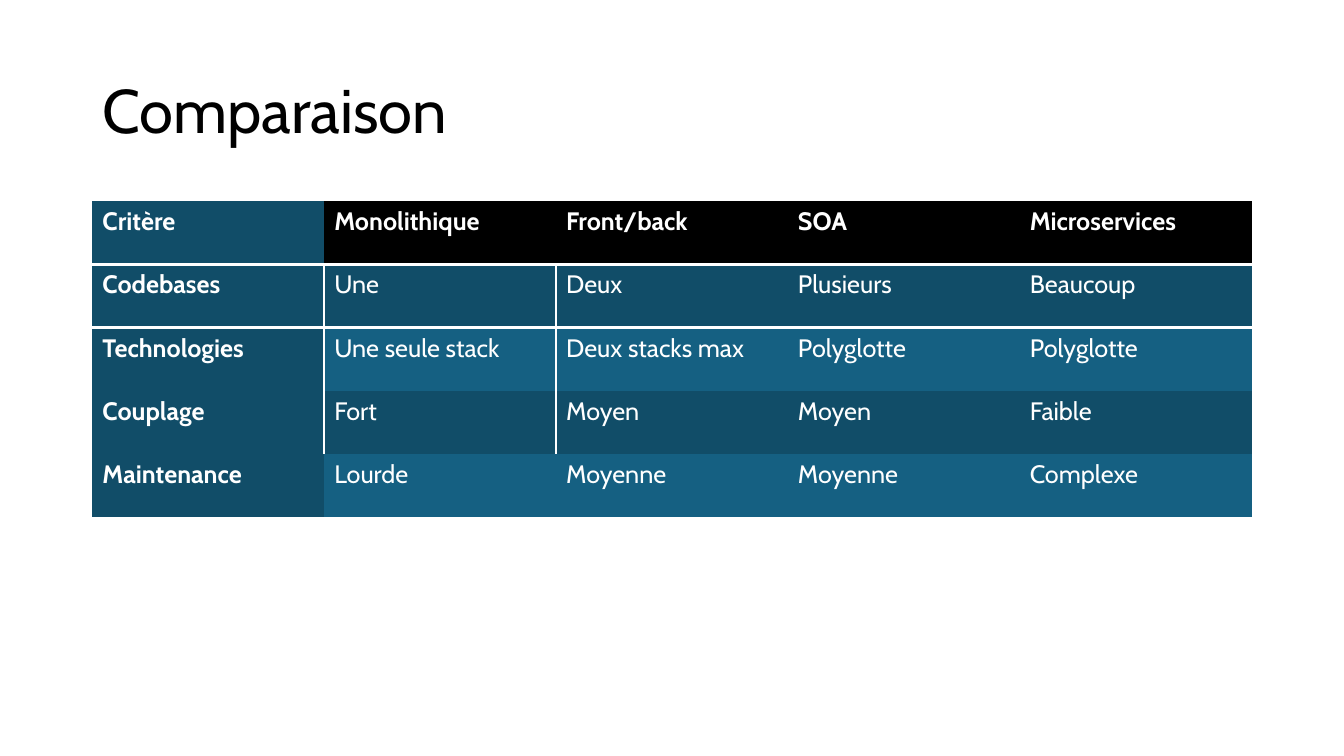
"""Build a slide comparing four software architectures in a table."""
import pptx
import pptx.dml.color
import pptx.enum.text
import pptx.oxml
import pptx.oxml.ns
import pptx.util

Pt = pptx.util.Pt
RGB = pptx.dml.color.RGBColor.from_string
COLORS = {"black": "000000", "white": "FFFFFF", "dark": "114D68", "blue": "156082"}
FONT = "Cabin"
NO_GRID_STYLE = "{2D5ABB26-0587-4C30-8999-92F81FD0307C}"
LEFT, WIDTH = 66, 828
ROW_HEIGHT = 45.1

COMPARISON = [
    ["Critère", "Monolithique", "Front/back", "SOA", "Microservices"],
    ["Codebases", "Une", "Deux", "Plusieurs", "Beaucoup"],
    ["Technologies", "Une seule stack", "Deux stacks max", "Polyglotte", "Polyglotte"],
    ["Couplage", "Fort", "Moyen", "Moyen", "Faible"],
    ["Maintenance", "Lourde", "Moyenne", "Moyenne", "Complexe"],
]


def style_font(paragraph, size, color, bold=False):
    paragraph.font.name = FONT
    paragraph.font.size = Pt(size)
    paragraph.font.bold = bold
    paragraph.font.color.rgb = RGB(COLORS[color])


def add_border(cell, side):
    cell._tc.get_or_add_tcPr().append(pptx.oxml.parse_xml(
        f'<a:ln{side} {pptx.oxml.ns.nsdecls("a")} w="{Pt(2)}"><a:solidFill>'
        f'<a:srgbClr val="{COLORS["white"]}"/></a:solidFill></a:ln{side}>'))


deck = pptx.Presentation()
deck.slide_width, deck.slide_height = Pt(960), Pt(540)
slide = deck.slides.add_slide(deck.slide_layouts[6])

title = slide.shapes.add_textbox(Pt(LEFT), Pt(28.8), Pt(WIDTH), Pt(104.4)).text_frame
title.word_wrap = True
title.vertical_anchor = pptx.enum.text.MSO_ANCHOR.MIDDLE
title.text = "Comparaison"
title.paragraphs[0].line_spacing = 0.9
style_font(title.paragraphs[0], 44, "black")

row_count, column_count = len(COMPARISON), len(COMPARISON[0])
table = slide.shapes.add_table(row_count, column_count, Pt(LEFT), Pt(143.8),
                               Pt(WIDTH), Pt(ROW_HEIGHT * row_count)).table
table.first_col = True
table._tbl.tblPr.find(pptx.oxml.ns.qn("a:tableStyleId")).text = NO_GRID_STYLE

for row, labels in enumerate(COMPARISON):
    table.rows[row].height = Pt(ROW_HEIGHT)
    for column, label in enumerate(labels):
        cell = table.cell(row, column)
        cell.text = label
        style_font(cell.text_frame.paragraphs[0], 18, "white", row == 0 or column == 0)

        divided = 0 < row < row_count - 1
        if divided and column == 1:
            add_border(cell, "L")
        if divided and column == 0:
            add_border(cell, "R")
        if row == 1:
            add_border(cell, "T")
        if row == 0:
            add_border(cell, "B")

        if column == 0 or row % 2 == 1:
            shade = "dark"
        else:
            shade = "black" if row == 0 else "blue"
        cell.fill.solid()
        cell.fill.fore_color.rgb = RGB(COLORS[shade])

deck.save("out.pptx")
